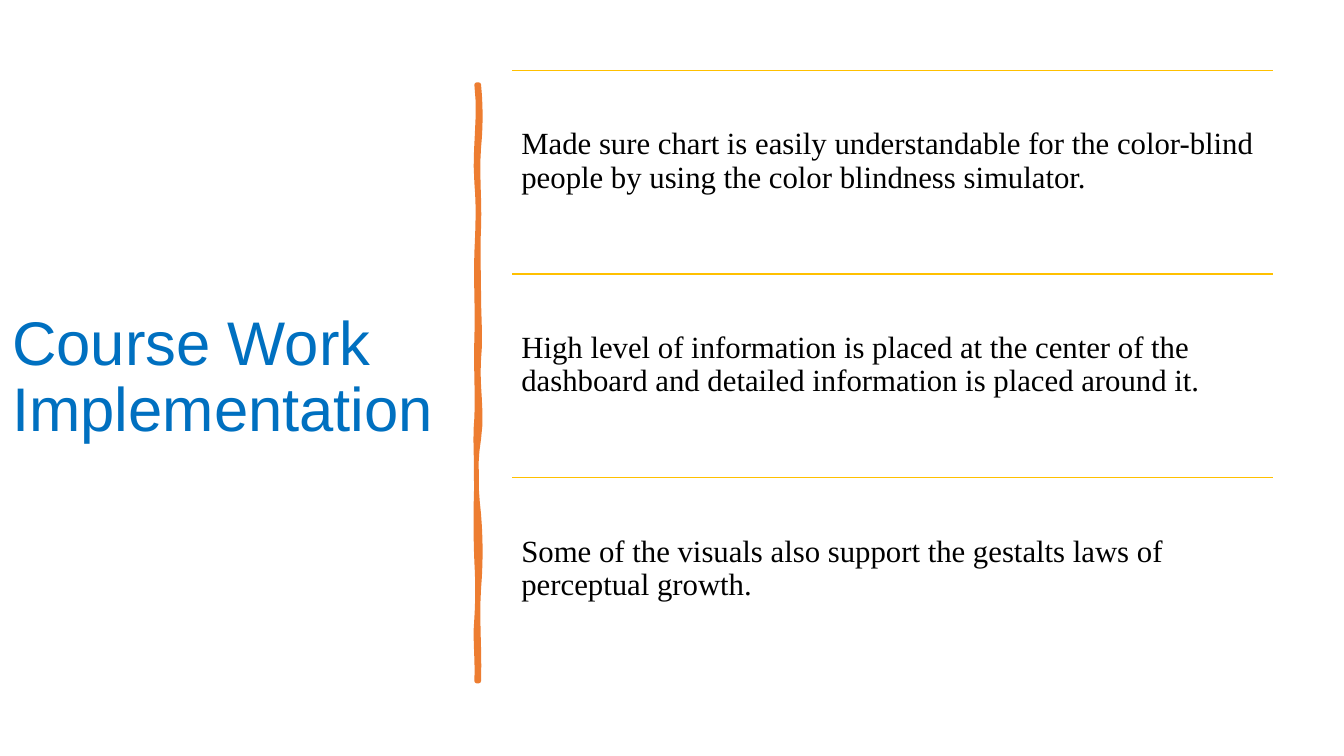
from lxml import etree
from pptx import Presentation
from pptx.dml.color import RGBColor
from pptx.enum.shapes import MSO_CONNECTOR
from pptx.enum.text import MSO_ANCHOR, PP_ALIGN
from pptx.oxml.ns import qn
from pptx.util import Pt

STRAIGHT = MSO_CONNECTOR.STRAIGHT
TOP, MIDDLE = MSO_ANCHOR.TOP, MSO_ANCHOR.MIDDLE
LEFT = PP_ALIGN.LEFT
BLUE = RGBColor(0x00, 0x70, 0xC0)
ORANGE = RGBColor(0xED, 0x7D, 0x31)
GOLD = RGBColor(0xFF, 0xC0, 0x00)
BLACK = RGBColor(0, 0, 0)

POINTS = [
    "Made sure chart is easily understandable for the color-blind people by using the color blindness simulator.",
    "High level of information is placed at the center of the dashboard and detailed information is placed around it.",
    "Some of the visuals also support the gestalts laws of perceptual growth.",
]
RIGHT_WAVES = [(45, 1.5, 1.5), (102, -1.5, 0.8), (151, -0.8, 0), (196, 0, 1.5),
               (253, -1.5, 3), (307, -3, -2), (360, 1.5, 1.5), (426, -1.5, 0.8)]
LEFT_WAVES = [(381, 0.8, -1.5), (341, 0.8, 0.8), (283, -0.8, -0.8), (238, 0, -1.5),
              (181, 0.8, -0.8), (120, 0.8, -0.8), (70, 0.8, 1.5), (0, -2, 3)]
STEPS = 6


def add_text(tf, text, size, font, color, anchor):
    tf.word_wrap = True
    tf.vertical_anchor = anchor
    p = tf.paragraphs[0]
    p.alignment = LEFT
    p.line_spacing = 0.9
    r = p.add_run()
    r.text = text
    r.font.size = Pt(size)
    r.font.name = font
    r.font.color.rgb = color


def add_title(slide, x, y, w, h):
    sp = slide.shapes.title
    sp.left, sp.top, sp.width, sp.height = Pt(x), Pt(y), Pt(w), Pt(h)
    add_text(sp.text_frame, "Course Work Implementation", 44, "Arial", BLUE, MIDDLE)


def wavy_edge(x, y, start, waves):
    vertices = []
    for end, first, second in waves:
        for step in range(1, STEPS + 1):
            t = step / STEPS
            bend = 3 * t * (1 - t) * ((1 - t) * first + t * second)
            vertices.append((Pt(x + bend), Pt(y + start + (end - start) * t)))
        start = end
    return vertices


def add_brush_stroke(slide, x, y, w, h):
    builder = slide.shapes.build_freeform(Pt(x + w), Pt(y), scale=1.0)
    builder.add_line_segments(wavy_edge(x + w, y, 0, RIGHT_WAVES), close=False)
    builder.add_line_segments([(Pt(x), Pt(y + h))] + wavy_edge(x, y, h, LEFT_WAVES))
    sp = builder.convert_to_shape()
    sp.shadow.inherit = False
    sp.fill.solid()
    sp.fill.fore_color.rgb = ORANGE
    sp.line.color.rgb = ORANGE
    sp.line.width = Pt(3.25)


def add_points(slide, x, y, w, h):
    row_h = h / len(POINTS)
    for i, text in enumerate(POINTS):
        top = y + i * row_h
        rule = slide.shapes.add_connector(STRAIGHT, Pt(x), Pt(top), Pt(x + w), Pt(top))
        rule.line.color.rgb = GOLD
        rule.line.width = Pt(1)
        etree.SubElement(rule._element.spPr, qn("a:effectLst"))
        tf = slide.shapes.add_textbox(Pt(x), Pt(top), Pt(w), Pt(row_h)).text_frame
        tf.margin_left = tf.margin_right = tf.margin_bottom = Pt(6.6)
        tf.margin_top = Pt(41.5)
        add_text(tf, text, 22, "Times New Roman", BLACK, TOP)


def main():
    prs = Presentation()
    prs.slide_width, prs.slide_height = Pt(960), Pt(540)
    slide = prs.slides.add_slide(prs.slide_layouts[5])
    add_title(slide, 1.5, 50.4, 317.5, 440)
    add_brush_stroke(slide, 340.5, 60.5, 1.5, 426)
    add_points(slide, 365.8, 50.4, 543.6, 436.3)
    prs.save("out.pptx")


if __name__ == "__main__":
    main()
